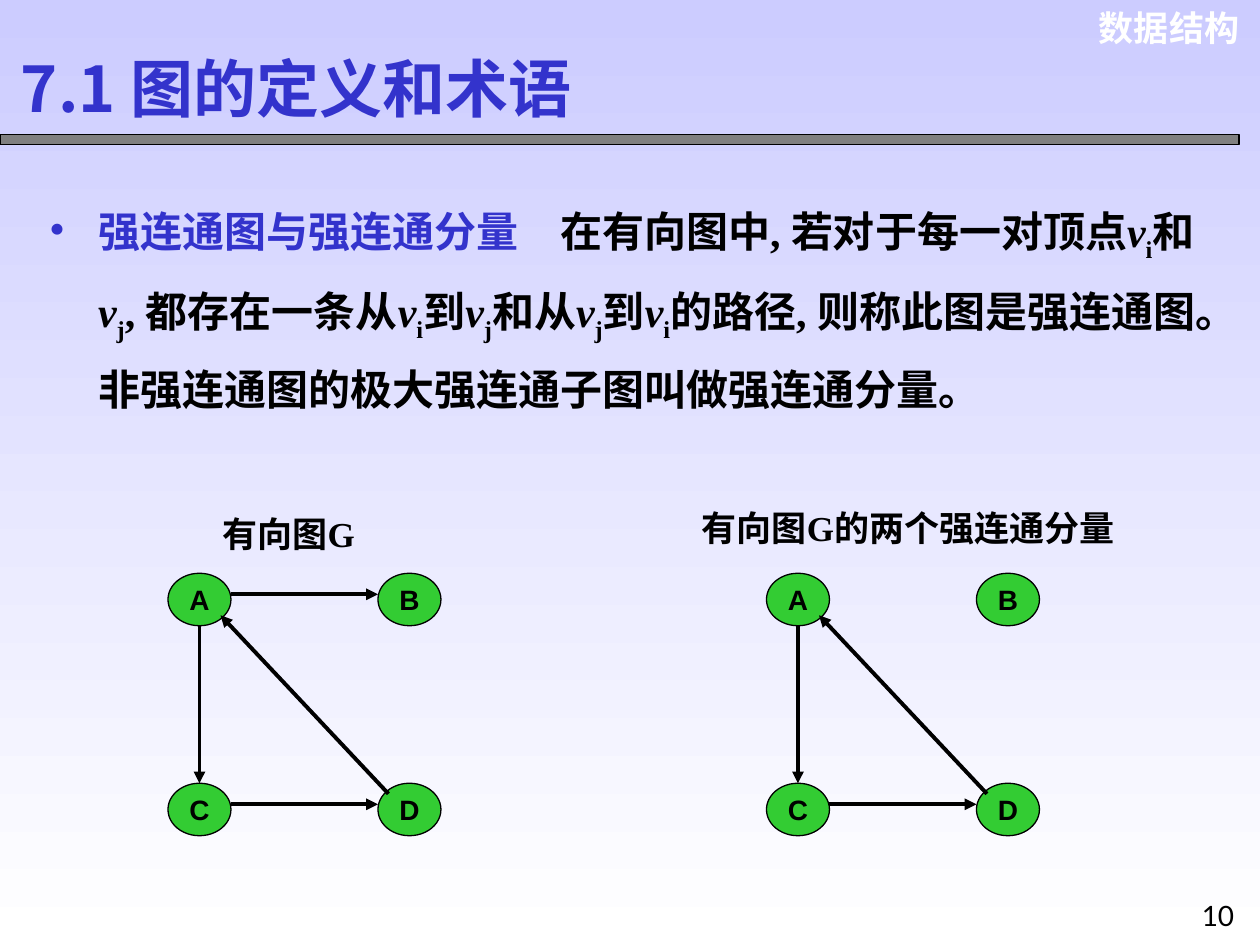
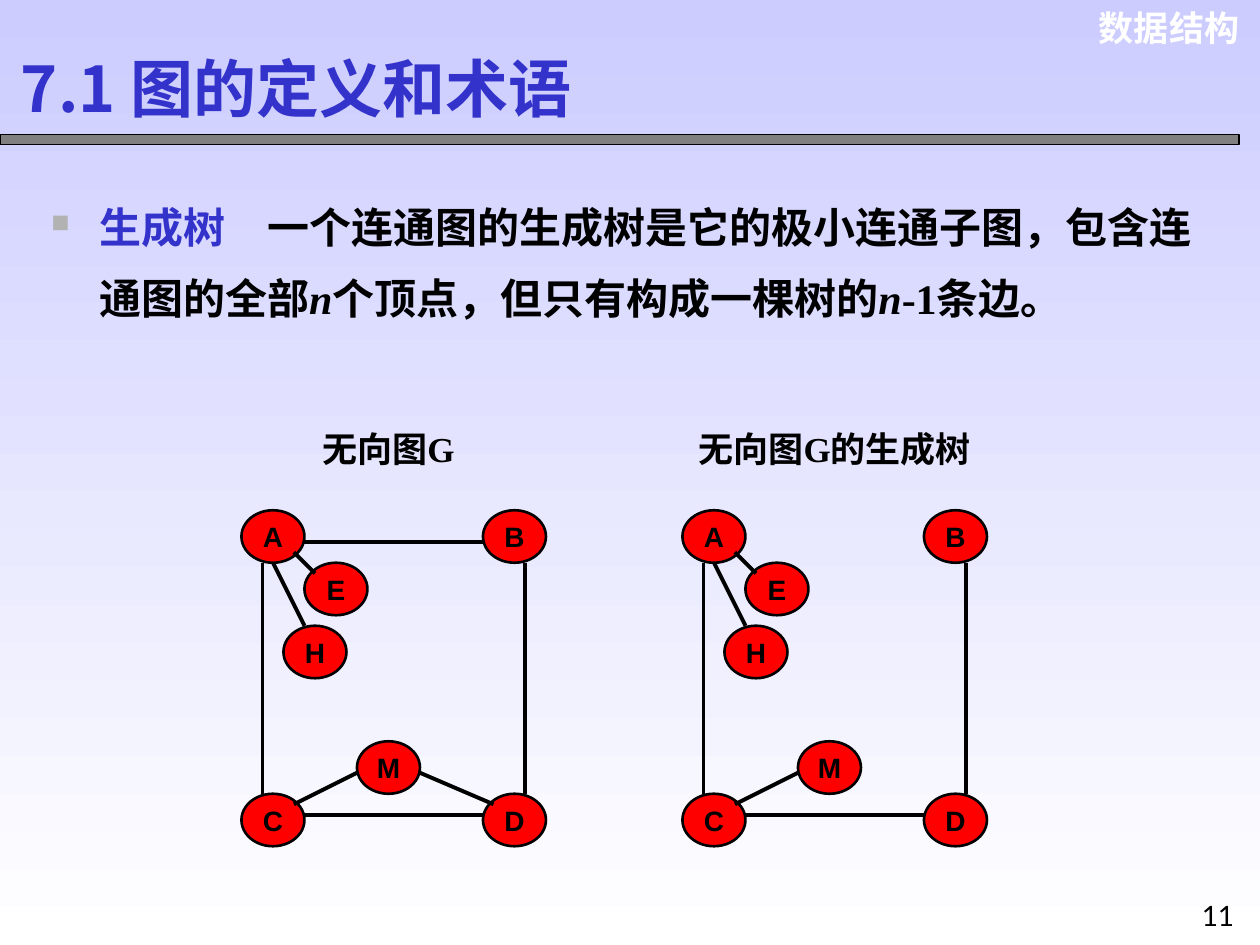
from dataclasses import dataclass

from lxml.etree import SubElement
from pptx import Presentation
from pptx.dml.color import RGBColor
from pptx.enum.shapes import MSO_CONNECTOR as Link, MSO_SHAPE as Shape
from pptx.enum.text import MSO_ANCHOR as Anchor, MSO_AUTO_SIZE as AutoSize, PP_ALIGN as Align
from pptx.oxml.ns import qn
from pptx.util import Emu, Inches, Pt


@dataclass(frozen=True)
class Theme:
    sky: str = "CCCCFF"
    white: str = "FFFFFF"
    black: str = "000000"
    blue: str = "3333CC"
    bar: str = "808080"
    green: str = "33CC33"
    red: str = "FF0000"
    square: str = "B2B2B2"
    title_size: int = 36
    body_size: int = 24
    caption_size: int = 20
    small_size: int = 16
    sans: str = "Arial"
    serif: str = "Times New Roman"
    number: str = "Lato"
    chinese: str = "Noto Sans CJK SC"


theme = Theme()
rgb = RGBColor.from_string
COLUMNS, ROWS = 120, 90
CELL = Inches(10) / COLUMNS
NODE = (6, 5)


def cells(*counts):
    """Turn counts of grid cells into lengths."""
    return [Emu(round(count * CELL)) for count in counts]


def write(para, text, size=theme.body_size, color=theme.black, font=theme.serif,
          bold=True, italic=False, baseline=0):
    span = para.add_run()
    span.text = text
    span.font.size = Pt(size)
    span.font.bold = bold
    span.font.italic = italic
    span.font.name = font
    span.font.color.rgb = rgb(color)
    props = span._r.get_or_add_rPr()
    SubElement(props, qn("a:ea")).set("typeface", theme.chinese)
    if baseline:
        props.set("baseline", str(baseline))


term = dict(color=theme.blue)
plain = dict()
variable = dict(italic=True)
subscript = dict(baseline=-25000)
v_i = [("v", variable), ("i", subscript)]
v_j = [("v", variable), ("j", subscript)]

# Nodes and edges are in cells, measured from the corner of node A.
triangle_nodes = {"A": (0, 0), "B": (20, 0), "C": (0, 20), "D": (20, 20)}
triangle_edges = {
    "AB": (6, 2, 20, 2), "CD": (6, 22, 20, 22),
    "AC": (3, 5, 3, 20), "DA": (21, 21, 5, 4),
}
square_nodes = {
    "A": (0, 0), "B": (23, 0), "C": (0, 27), "D": (23, 27),
    "E": (6, 5), "H": (4, 11), "M": (11, 22),
}
square_edges = {
    "AB": (6, 3, 23, 3), "AC": (2, 5, 2, 27), "BD": (27, 5, 27, 27),
    "CD": (6, 29, 23, 29), "MD": (17, 25, 24, 28), "CM": (5, 28, 11, 25),
    "AH": (3, 5, 6, 11), "AE": (5, 4, 7, 6),
}

topics = [
    dict(
        number="10", bullet="•", bullet_color=theme.blue, bullet_share=100,
        body_area=(3.6, 16.8, 113.4, 23.6),
        body=[("强连通图与强连通分量　", term), ("在有向图中, 若对于每一对顶点", plain), *v_i,
              ("和", plain), *v_j, (", 都存在一条从", plain), *v_i, ("到", plain), *v_j,
              ("和从", plain), *v_j, ("到", plain), *v_i,
              ("的路径, 则称此图是强连通图。非强连通图的极大强连通子图叫做强连通分量。", plain)],
        captions=[("有向图G", (19, 48.2, 17, 5.3)),
                  ("有向图G的两个强连通分量", (65, 47.6, 43, 9.2))],
        nodes=triangle_nodes, edges=triangle_edges, directed=True,
        fill=theme.green, outline=0.75,
        graphs=[(16, 54.6, []), (73, 54.6, ["AB"])],
    ),
    dict(
        number="11", bullet="■", bullet_color=theme.square, bullet_share=60,
        body_area=(3.7, 16.7, 111.6, 15),
        body=[("生成树　", term),
              ("一个连通图的生成树是它的极小连通子图，包含连通图的全部", plain), ("n", variable),
              ("个顶点，但只有构成一棵树的", plain), ("n", variable), ("-1条边。", plain)],
        captions=[("无向图G", (29, 40.1, 16, 5.3)),
                  ("无向图G的生成树", (65, 40.1, 29, 9.2))],
        nodes=square_nodes, edges=square_edges, directed=False,
        fill=theme.red, outline=1.5,
        graphs=[(23, 48.6, []), (65, 48.6, ["AB", "MD"])],
    ),
]

deck = Presentation()
deck.slide_width, deck.slide_height = cells(COLUMNS, ROWS)
backdrop = deck.slide_master.background.fill
backdrop.gradient()
backdrop.gradient_angle = 270
for stop, color in zip(backdrop.gradient_stops, (theme.sky, theme.white)):
    stop.color.rgb = rgb(color)

for topic in topics:
    page = deck.slides.add_slide(deck.slide_layouts[5])

    title = page.shapes.title
    title.left, title.top, title.width, title.height = cells(0.8, 4.1, 62.6, 8.4)
    title.text_frame.vertical_anchor = Anchor.TOP
    title.text_frame.auto_size = AutoSize.NONE
    heading = title.text_frame.paragraphs[0]
    heading.alignment = Align.LEFT
    write(heading, "7.1 图的定义和术语", theme.title_size, theme.blue, theme.chinese)

    bar = page.shapes.add_shape(Shape.RECTANGLE, *cells(0, 12.8, 118, 1))
    bar.shadow.inherit = False
    bar.fill.solid()
    bar.fill.fore_color.rgb = rgb(theme.bar)
    bar.line.color.rgb = rgb(theme.black)
    bar.line.width = Pt(0.75)

    labels = [
        ("数据结构", (102.8, 0, 16.4, 5.3), Align.RIGHT,
         dict(size=theme.caption_size, color=theme.white, font=theme.sans)),
        (topic["number"], (113, 85, 6, 5), Align.CENTER,
         dict(size=theme.small_size, font=theme.number, bold=False)),
    ]
    for caption, area in topic["captions"]:
        labels.append((caption, area, Align.CENTER, dict(size=theme.caption_size)))
    for text, area, align, style in labels:
        box = page.shapes.add_textbox(*cells(*area))
        box.text_frame.word_wrap = True
        para = box.text_frame.paragraphs[0]
        para.alignment = align
        write(para, text, **style)

    body = page.shapes.add_textbox(*cells(*topic["body_area"]))
    body.text_frame.word_wrap = True
    para = body.text_frame.paragraphs[0]
    para.line_spacing = 1.4
    props = para._p.get_or_add_pPr()
    props.set("marL", str(Inches(0.38)))
    props.set("indent", str(-Inches(0.38)))
    bullet_color = SubElement(props, qn("a:buClr"))
    SubElement(bullet_color, qn("a:srgbClr")).set("val", topic["bullet_color"])
    SubElement(props, qn("a:buSzPct")).set("val", str(topic["bullet_share"] * 1000))
    SubElement(props, qn("a:buChar")).set("char", topic["bullet"])
    for text, style in topic["body"]:
        write(para, text, **style)

    for left, top, missing in topic["graphs"]:
        for letter, (x, y) in topic["nodes"].items():
            node = page.shapes.add_shape(Shape.OVAL, *cells(left + x, top + y, *NODE))
            node.shadow.inherit = False
            node.fill.solid()
            node.fill.fore_color.rgb = rgb(topic["fill"])
            node.line.color.rgb = rgb(theme.black)
            node.line.width = Pt(topic["outline"])
            node.text_frame.word_wrap = False
            node.text_frame.vertical_anchor = Anchor.MIDDLE
            para = node.text_frame.paragraphs[0]
            para.alignment = Align.CENTER
            write(para, letter, theme.small_size, font=theme.sans)

        for name, (x1, y1, x2, y2) in topic["edges"].items():
            if name in missing:
                continue
            ends = cells(left + x1, top + y1, left + x2, top + y2)
            edge = page.shapes.add_connector(Link.STRAIGHT, *ends)
            edge.line.color.rgb = rgb(theme.black)
            edge.line.width = Pt(2.25)
            if topic["directed"]:
                SubElement(edge.line._get_or_add_ln(), qn("a:tailEnd")).set("type", "triangle")
            SubElement(edge._element.spPr, qn("a:effectLst"))

deck.save("out.pptx")
